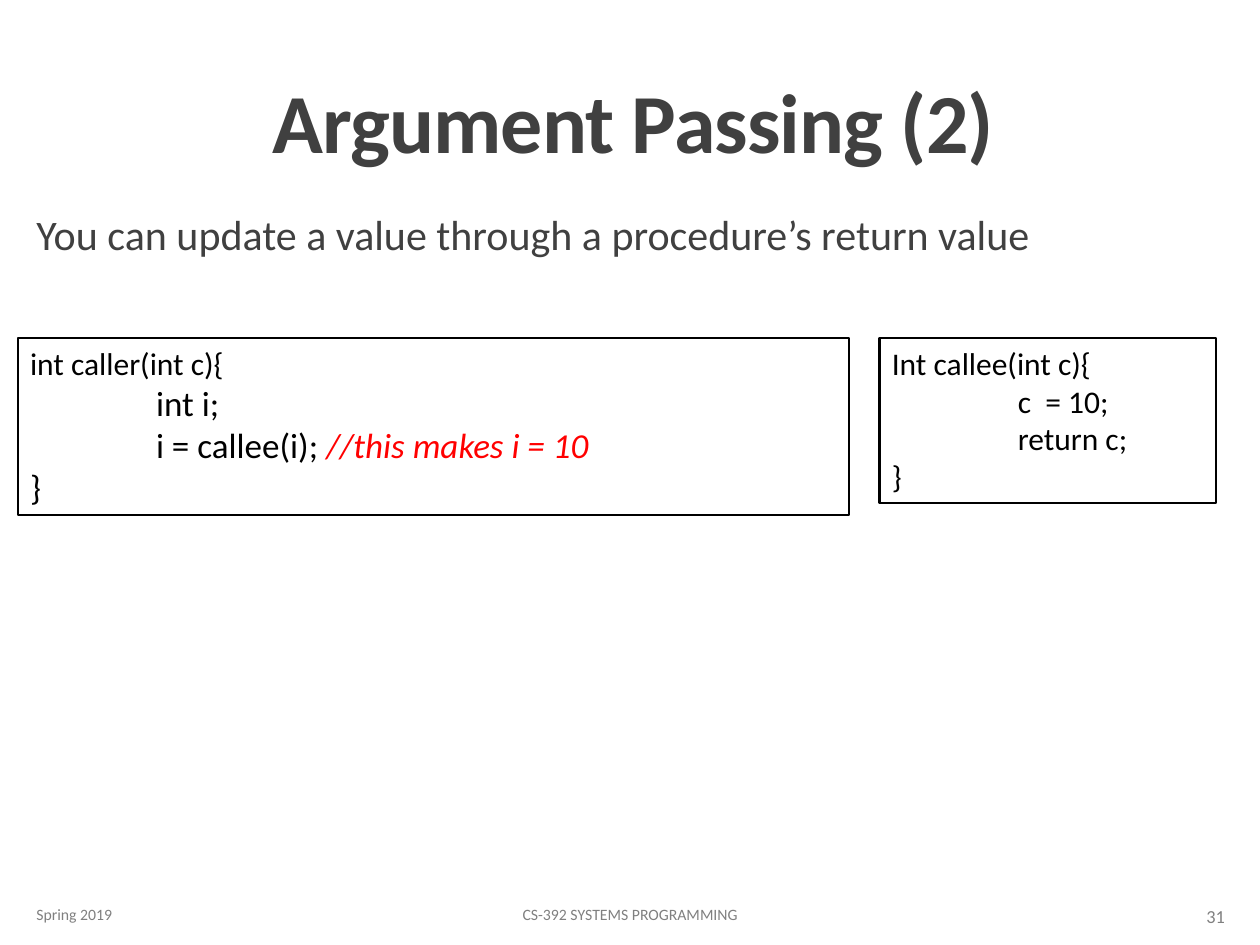
from lxml.etree import SubElement
from pptx import Presentation
from pptx.dml.color import RGBColor
from pptx.enum.shapes import MSO_SHAPE
from pptx.enum.text import MSO_ANCHOR, MSO_AUTO_SIZE, PP_ALIGN
from pptx.oxml.ns import qn
from pptx.util import Inches, Pt

COLORS = {
    "text": "404040",
    "footer": "808080",
    "code": "000000",
    "comment": "FF0000",
    "paper": "FFFFFF",
}


class SlideBuilder:
    font = "Calibri"

    def __init__(self, s):
        self.s = s

    def color(self, name):
        return RGBColor.from_string(COLORS[name])

    def run(self, p, text, size, color, bold=False, italic=False):
        r = p.add_run()
        r.text = text
        r.font.name = self.font
        r.font.size = Pt(size)
        r.font.bold = bold
        r.font.italic = italic
        r.font.color.rgb = self.color(color)
        return r

    def text(self, box, text, size, color, align=PP_ALIGN.LEFT,
             anchor=MSO_ANCHOR.MIDDLE, bold=False, spacing=1.0):
        tf = self.s.shapes.add_textbox(*map(Inches, box)).text_frame
        tf.word_wrap = True
        tf.vertical_anchor = anchor
        p = tf.paragraphs[0]
        p.alignment = align
        p.line_spacing = spacing
        return tf, self.run(p, text, size, color, bold)

    def title(self, box, text):
        tf, r = self.text(box, text, 48, "text", PP_ALIGN.CENTER,
                          MSO_ANCHOR.BOTTOM, True, 0.85)
        r.font._element.set("spc", "-50")

    def body(self, box, text):
        tf, r = self.text(box, text, 24, "text", anchor=MSO_ANCHOR.TOP, spacing=0.9)
        tf.margin_left = Inches(0.1)
        tf.margin_right = 0
        tf.paragraphs[0].space_after = Pt(2)

    def tab_stop(self, p, position):
        tabs = SubElement(p._p.get_or_add_pPr(), qn("a:tabLst"))
        SubElement(tabs, qn("a:tab"), pos=str(Inches(position)), algn="l")

    def code(self, box, lines):
        sp = self.s.shapes.add_shape(MSO_SHAPE.RECTANGLE, *map(Inches, box))
        sp.shadow.inherit = False
        sp.fill.solid()
        sp.fill.fore_color.rgb = self.color("paper")
        sp.line.color.rgb = self.color("code")
        sp.line.width = Pt(1.25)
        tf = sp.text_frame
        tf.word_wrap = True
        tf.auto_size = MSO_AUTO_SIZE.SHAPE_TO_FIT_TEXT
        tf.vertical_anchor = MSO_ANCHOR.TOP
        for i, runs in enumerate(lines):
            p = tf.paragraphs[0] if i == 0 else tf.add_paragraph()
            p.alignment = PP_ALIGN.LEFT
            self.tab_stop(p, 1)
            for text, size, color in runs:
                self.run(p, text, size, color, italic=color == "comment")


def main():
    prs = Presentation()
    prs.slide_width = Inches(10)
    prs.slide_height = Inches(7.5)
    b = SlideBuilder(prs.slides.add_slide(prs.slide_layouts[6]))

    b.title((0.9, 0.04, 8.25, 1.36), "Argument Passing (2)")
    b.body((0.19, 1.65, 9.62, 5.15),
           "You can update a value through a procedure’s return value")

    b.text((0.19, 7.06, 2.03, 0.4), "Spring 2019", 9, "footer")
    b.text((3.02, 7.06, 3.96, 0.4), "CS-392 SYSTEMS PROGRAMMING", 9, "footer",
           PP_ALIGN.CENTER)
    b.text((8.74, 7.07, 1.08, 0.4), "31", 10.5, "footer", PP_ALIGN.RIGHT)

    callee = ["Int callee(int c){", "\tc  = 10;", "\treturn c;", "}"]
    b.code((6.98, 2.68, 2.67, 1.31), [[(line, 18, "code")] for line in callee])
    b.code((0.14, 2.68, 6.6, 1.41), [
        [("int caller(int c){", 18, "code")],
        [("\t", 18, "code"), ("int i;", 20, "code")],
        [("\ti = callee(i); ", 20, "code"), ("//this makes i = 10", 20, "comment")],
        [("}", 20, "code")],
    ])

    prs.save("out.pptx")


if __name__ == "__main__":
    main()
